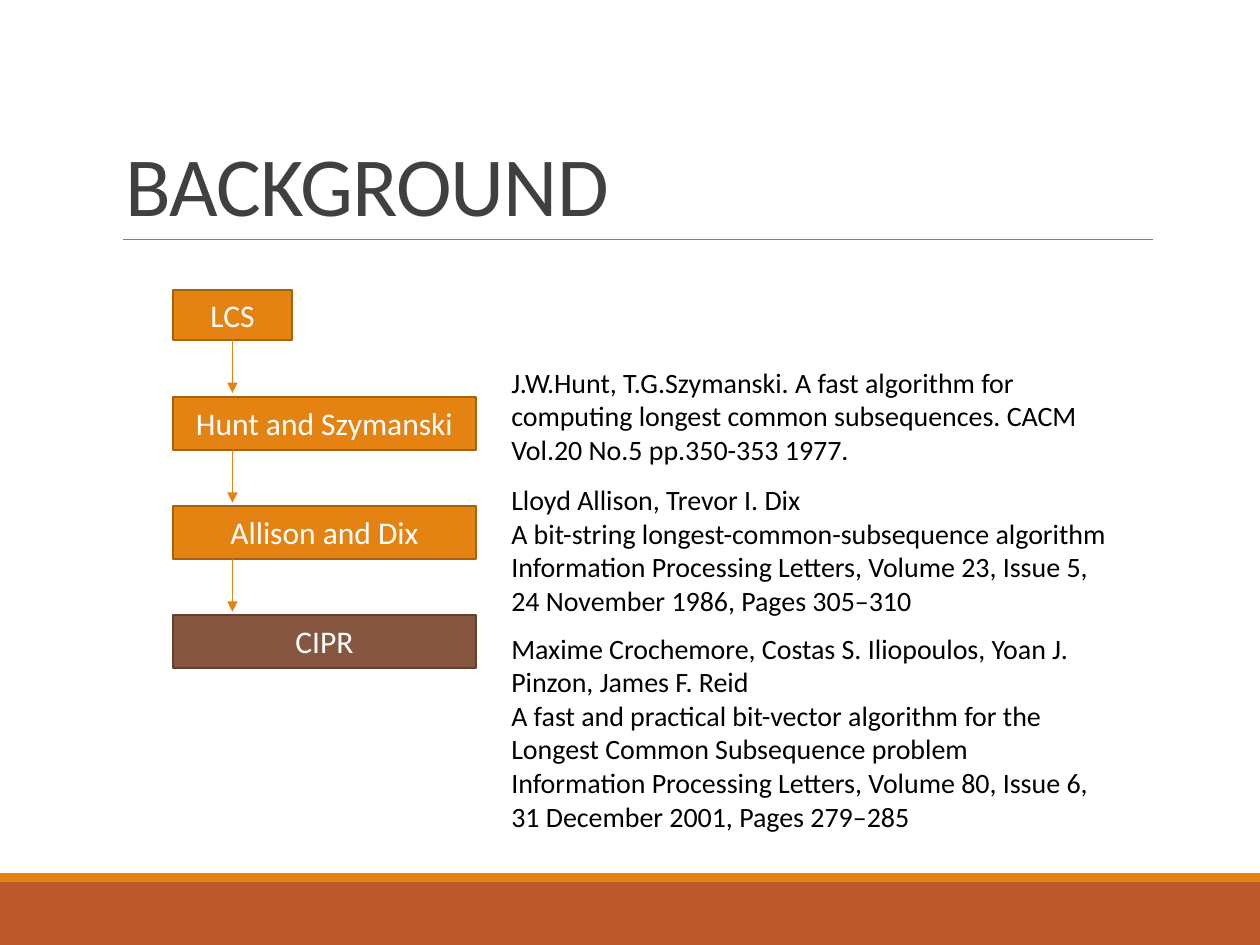
from lxml import etree
from pptx import Presentation
from pptx import util as u
from pptx.dml.color import RGBColor
from pptx.enum import shapes, text
from pptx.oxml.ns import qn

COLUMNS, ROWS = 100, 75


def color(value):
    return RGBColor.from_string(value)


class Deck:
    font = "Calibri"
    orange, orange_edge = "E48312", "A9610D"
    brown, brown_edge = "865640", "63402F"
    rust, gray, ink, black, white = "BD582C", "808080", "404040", "000000", "FFFFFF"

    def __init__(self):
        self.prs = Presentation()
        self.prs.slide_width, self.prs.slide_height = u.Inches(10), u.Inches(7.5)
        self.slide = self.prs.slides.add_slide(self.prs.slide_layouts[6])

    def place(self, column, row):
        return (int(self.prs.slide_width * column / COLUMNS),
                int(self.prs.slide_height * row / ROWS))

    def fill_text(self, frame, lines, size, ink, align, anchor):
        frame.word_wrap = True
        frame.vertical_anchor = anchor
        for number, line in enumerate(lines):
            paragraph = frame.paragraphs[0] if number == 0 else frame.add_paragraph()
            paragraph.text = line
            paragraph.alignment = align
            paragraph.font.name = self.font
            paragraph.font.size = u.Pt(size)
            paragraph.font.color.rgb = color(ink)

    def rect(self, column, row, width, height, fill, edge=None):
        box = self.slide.shapes.add_shape(
            shapes.MSO_SHAPE.RECTANGLE, *self.place(column, row), *self.place(width, height))
        box.shadow.inherit = False
        box.fill.solid()
        box.fill.fore_color.rgb = color(fill)
        if edge:
            box.line.color.rgb = color(edge)
            box.line.width = u.Pt(1.25)
        else:
            box.line.fill.background()
        return box

    def step(self, label, column, row, width, height, fill, edge):
        box = self.rect(column, row, width, height, fill, edge)
        self.fill_text(box.text_frame, [label], 18, self.white,
                       text.PP_ALIGN.CENTER, text.MSO_ANCHOR.MIDDLE)

    def textbox(self, column, row, width, height, lines, size, ink,
                anchor=text.MSO_ANCHOR.TOP):
        box = self.slide.shapes.add_textbox(
            *self.place(column, row), *self.place(width, height))
        self.fill_text(box.text_frame, lines, size, ink, text.PP_ALIGN.LEFT, anchor)
        return box.text_frame

    def title(self, column, row, width, height, words):
        frame = self.textbox(column, row, width, height, [words], 48, self.ink,
                             text.MSO_ANCHOR.BOTTOM)
        heading = frame.paragraphs[0]
        heading.line_spacing = 0.85
        heading.runs[0].font._element.set("spc", "-50")

    def line(self, start, end, ink, width, arrow=False):
        link = self.slide.shapes.add_connector(
            shapes.MSO_CONNECTOR.STRAIGHT, *self.place(*start), *self.place(*end))
        link.line.color.rgb = color(ink)
        link.line.width = u.Pt(width)
        if arrow:
            etree.SubElement(link.line._get_or_add_ln(), qn("a:tailEnd"), type="triangle")
        etree.SubElement(link._element.spPr, qn("a:effectLst"))


def main():
    deck = Deck()
    deck.rect(0, 70, COLUMNS, 5, deck.rust)
    deck.rect(0, 69.3, COLUMNS, 0.7, deck.orange)
    deck.line((9.8, 19), (91.5, 19), deck.gray, 0.5)
    deck.title(9, 3.1, 82.5, 15.9, "BACKGROUND")

    left, root_top, root_width, root_height = 13.7, 23, 9.5, 4
    first_top, pitch, width, height = 31.5, 8.65, 24.1, 4.2
    arrow_column, arrow_length = left + root_width / 2, 4.2

    deck.step("LCS", left, root_top, root_width, root_height,
              deck.orange, deck.orange_edge)
    bottom = root_top + root_height
    methods = [
        ("Hunt and Szymanski", deck.orange, deck.orange_edge),
        ("Allison and Dix", deck.orange, deck.orange_edge),
        ("CIPR", deck.brown, deck.brown_edge),
    ]
    for number, (label, fill, edge) in enumerate(methods):
        top = first_top + number * pitch
        deck.step(label, left, top, width, height, fill, edge)
        deck.line((arrow_column, bottom), (arrow_column, bottom + arrow_length),
                  deck.orange, 1, arrow=True)
        bottom = top + height

    references = [
        (28.5, 9.1, [
            "J.W.Hunt, T.G.Szymanski. A fast algorithm for computing longest common "
            "subsequences. CACM Vol.20 No.5 pp.350-353 1977."]),
        (37.8, 11.8, [
            "Lloyd Allison, Trevor I. Dix",
            "A bit-string longest-common-subsequence algorithm",
            "Information Processing Letters, Volume 23, Issue 5, "
            "24 November 1986, Pages 305–310"]),
        (49.6, 17.8, [
            "Maxime Crochemore, Costas S. Iliopoulos, Yoan J. Pinzon, James F. Reid",
            "A fast and practical bit-vector algorithm for the "
            "Longest Common Subsequence problem",
            "Information Processing Letters, Volume 80, Issue 6, "
            "31 December 2001, Pages 279–285"]),
    ]
    for top, depth, lines in references:
        deck.textbox(39.6, top, 50, depth, lines, 16, deck.black)

    deck.prs.save("out.pptx")


if __name__ == "__main__":
    main()
